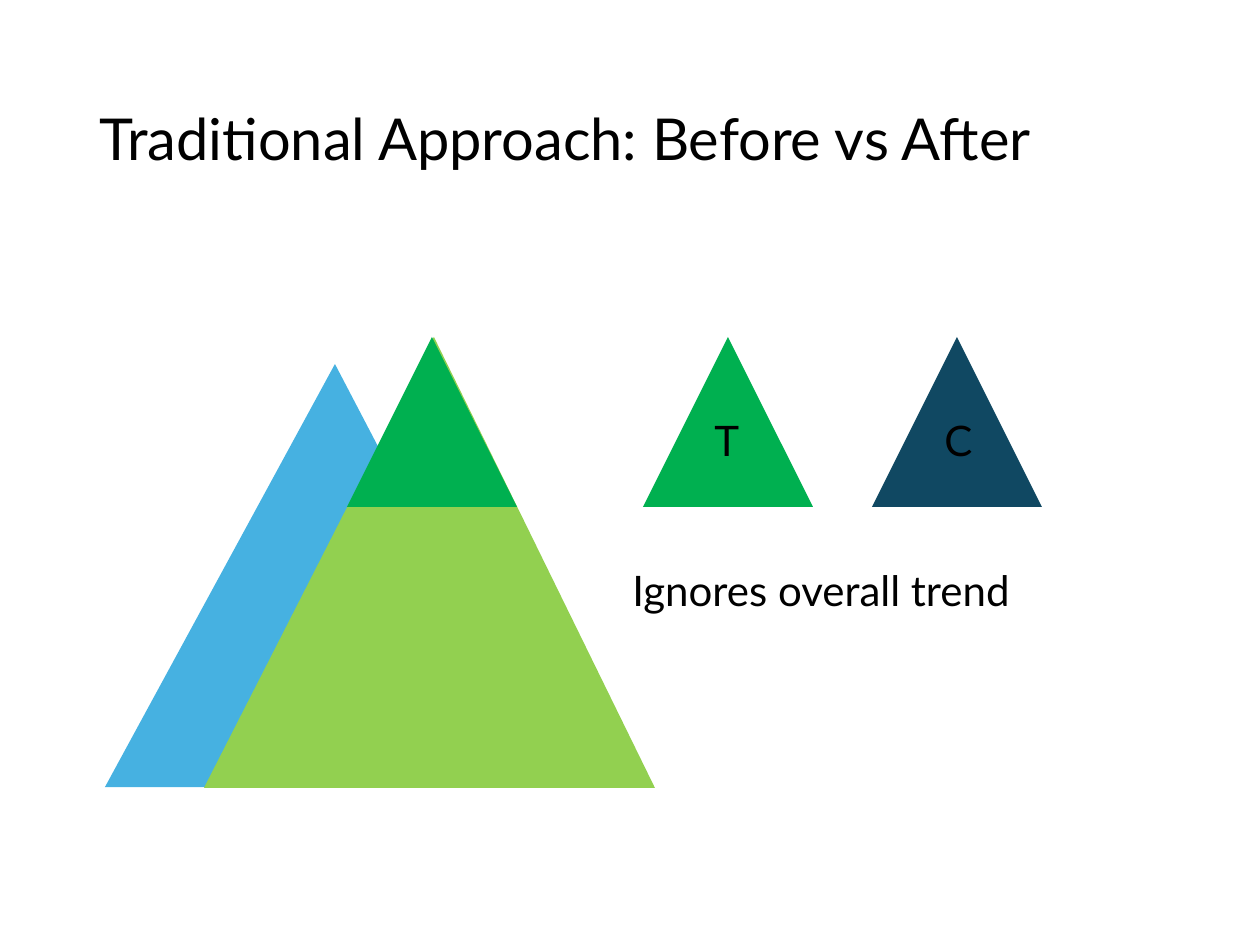
from pptx import Presentation
from pptx import util as u
from pptx.dml.color import RGBColor
from pptx.enum import shapes, text

BLACK = RGBColor(0x00, 0x00, 0x00)
BLUE = RGBColor(0x46, 0xB1, 0xE1)
LIME = RGBColor(0x92, 0xD0, 0x50)
GREEN = RGBColor(0x00, 0xB0, 0x50)
NAVY = RGBColor(0x10, 0x48, 0x62)
FONT = "Lato"

PEAK_TOP = 337
SMALL = 170
TRIANGLES = [
    (105, 364, 451, 423, 0.51, BLUE),
    (204, PEAK_TOP, 451, 451, 0.51, LIME),
    (643, PEAK_TOP, SMALL, SMALL, 0.5, GREEN),
    (872, PEAK_TOP, SMALL, SMALL, 0.5, NAVY),
    (347, PEAK_TOP, SMALL, SMALL, 0.5, GREEN),
]
TOP, MIDDLE = text.MSO_ANCHOR.TOP, text.MSO_ANCHOR.MIDDLE
TEXTS = [
    ("Traditional Approach: Before vs After", 87, 50, 1086, 183, 33, MIDDLE, 0.9),
    ("T", 702, 408, 74, 54, 24, TOP, 1.0),
    ("C", 932, 408, 74, 54, 24, TOP, 1.0),
    ("Ignores overall trend", 620, 564, 553, 54, 24, TOP, 0.9),
]


def px(*values):
    return [u.Emu(round(v * 914400 / 126)) for v in values]


def add_triangle(slide, x, y, w, h, apex, color):
    sp = slide.shapes.add_shape(
        shapes.MSO_SHAPE.ISOSCELES_TRIANGLE, *px(x, y, w, h))
    sp.adjustments[0] = apex
    sp.shadow.inherit = False
    sp.fill.solid()
    sp.fill.fore_color.rgb = color
    sp.line.fill.background()


def add_text(slide, words, x, y, w, h, size, anchor, spacing):
    tf = slide.shapes.add_textbox(*px(x, y, w, h)).text_frame
    tf.word_wrap = True
    tf.vertical_anchor = anchor
    p = tf.paragraphs[0]
    p.text = words
    p.line_spacing = spacing
    p.font.name = FONT
    p.font.size = u.Pt(size)
    p.font.color.rgb = BLACK


def main():
    prs = Presentation()
    prs.slide_width, prs.slide_height = px(1260, 945)
    s = prs.slides.add_slide(prs.slide_layouts[6])
    for triangle in TRIANGLES:
        add_triangle(s, *triangle)
    for item in TEXTS:
        add_text(s, *item)
    prs.save("out.pptx")


if __name__ == "__main__":
    main()
